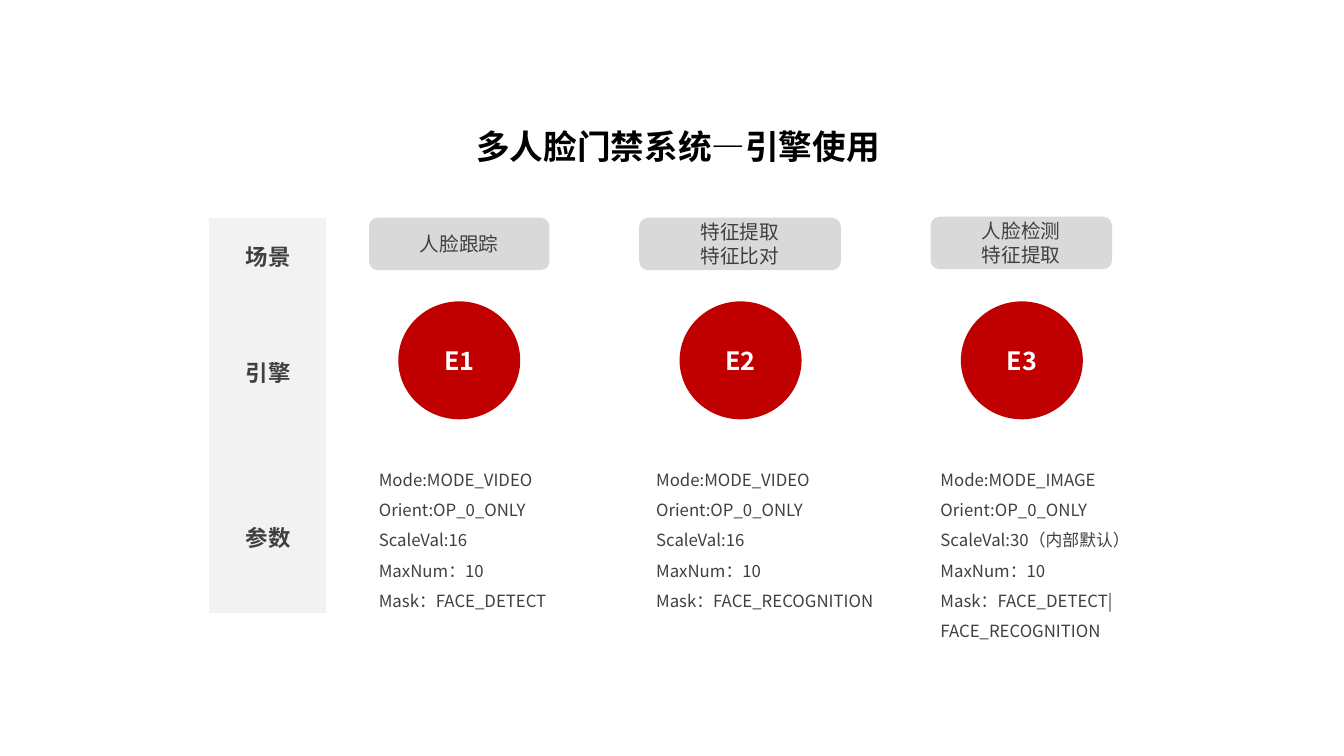
"""Builds the slide on engine use in a multi-face door access system."""
from lxml.etree import SubElement
from pptx import Presentation
from pptx.dml.color import RGBColor
from pptx.enum.shapes import MSO_SHAPE
from pptx.enum.text import MSO_ANCHOR, PP_ALIGN
from pptx.oxml.ns import qn
from pptx.util import Pt

PX = 9144
FONT = "Noto Sans CJK SC"
BLACK = RGBColor(0, 0, 0)
DARK = RGBColor(0x40, 0x40, 0x40)
GREY = RGBColor(0xD9, 0xD9, 0xD9)
PALE = RGBColor(0xF2, 0xF2, 0xF2)
RED = RGBColor(0xC0, 0, 0)
WHITE = RGBColor(0xFF, 0xFF, 0xFF)

deck = Presentation()
deck.slide_width, deck.slide_height = 1333 * PX, 750 * PX
slide = deck.slides.add_slide(deck.slide_layouts[6])


def write(shape, lines, size, color, bold=False, align=PP_ALIGN.LEFT, space=1.0):
    frame = shape.text_frame
    frame.word_wrap = True
    frame.text = "\n".join(lines)
    for para in frame.paragraphs:
        para.alignment = align
        para.line_spacing = space
        font = para.font
        font.name, font.size, font.bold = FONT, Pt(size), bold
        font.color.rgb = color
        SubElement(para._p.pPr.find(qn("a:defRPr")), qn("a:ea"), typeface=FONT)


def draw(kind, box, fill):
    shape = slide.shapes.add_shape(kind, *[n * PX for n in box])
    shape.shadow.inherit = False
    shape.fill.solid()
    shape.fill.fore_color.rgb = fill
    shape.line.fill.background()
    shape.text_frame.vertical_anchor = MSO_ANCHOR.MIDDLE
    return shape


band = draw(MSO_SHAPE.RECTANGLE, (207, 216, 117, 393), PALE)
band.line.color.rgb = WHITE
band.line.width = Pt(1)

title = slide.shapes.add_textbox(69 * PX, 124 * PX, 1207 * PX, 52 * PX)
write(title, ["多人脸门禁系统—引擎使用"], 24, BLACK, True, PP_ALIGN.CENTER, 0.9)

for label, top, space in [("场景", 236, 1.0), ("引擎", 354, 0.9), ("参数", 515, 1.0)]:
    box = slide.shapes.add_textbox(234 * PX, top * PX, 91 * PX, 50 * PX)
    write(box, [label], 16, DARK, True, space=space)

ENGINES = [
    ((366, 216, 179, 52), ["人脸跟踪"], (366, 233),
     ["Mode:MODE_VIDEO", "Orient:OP_0_ONLY", "ScaleVal:16", "MaxNum：10",
      "Mask：FACE_DETECT"]),
    ((634, 216, 200, 52), ["特征提取", "特征比对"], (641, 286),
     ["Mode:MODE_VIDEO", "Orient:OP_0_ONLY", "ScaleVal:16", "MaxNum：10",
      "Mask：FACE_RECOGNITION"]),
    ((923, 215, 180, 52), ["人脸检测", "特征提取"], (923, 267),
     ["Mode:MODE_IMAGE", "Orient:OP_0_ONLY", "ScaleVal:30（内部默认）", "MaxNum：10",
      "Mask：FACE_DETECT|", "FACE_RECOGNITION"]),
]
for i, (place, scene, (left, width), params) in enumerate(ENGINES):
    card = draw(MSO_SHAPE.ROUNDED_RECTANGLE, place, GREY)
    write(card, scene, 14, DARK, align=PP_ALIGN.CENTER)
    disc = draw(MSO_SHAPE.OVAL, (395 + 279 * i, 299, 121, 117), RED)
    write(disc, [f"E{i + 1}"], 18, WHITE, True, PP_ALIGN.CENTER)
    box = slide.shapes.add_textbox(left * PX, 451 * PX, width * PX, (10 + 30 * len(params)) * PX)
    write(box, params, 12, DARK, space=1.5)

deck.save("out.pptx")
